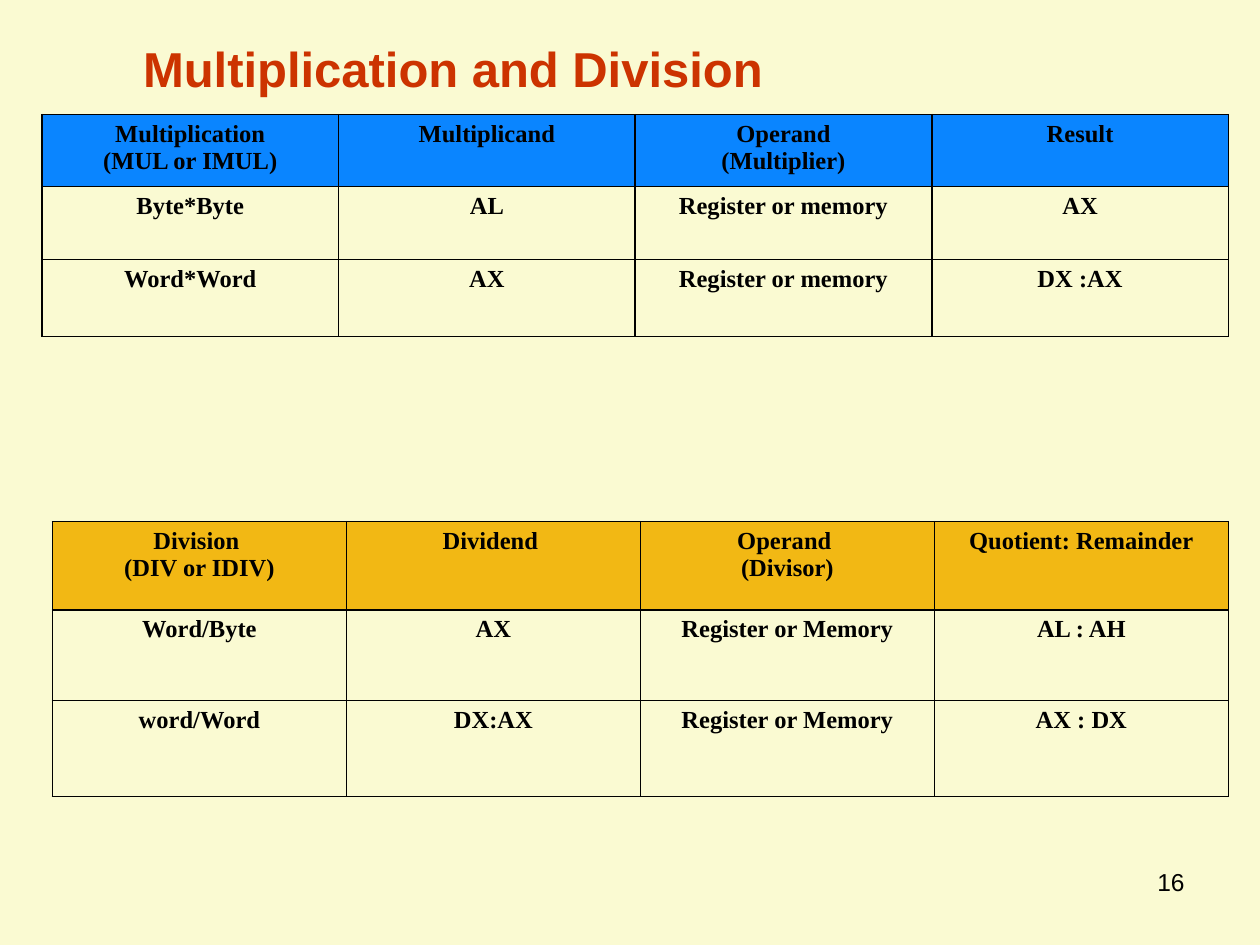
"""Build a slide with tables of multiplication and division operands."""
import dataclasses

import pptx
import pptx.dml.color
import pptx.enum.text
import pptx.oxml
import pptx.oxml.ns
import pptx.util

ALIGN = pptx.enum.text.PP_ALIGN
ANCHOR = pptx.enum.text.MSO_ANCHOR


@dataclasses.dataclass(frozen=True)
class Theme:
    background: str = "FAFAD2"
    ink: str = "000000"
    title: str = "CC3300"
    multiplication: str = "0A85FF"
    division: str = "F2B814"
    heading_font: str = "Arial"
    table_font: str = "Times New Roman"
    title_size: int = 28
    text_size: int = 14
    border_width: int = 1


class SlideBuilder:
    columns, rows = 120, 90

    def __init__(self, deck, theme):
        self.theme = theme
        self.cell_width = deck.slide_width / self.columns
        self.cell_height = deck.slide_height / self.rows
        self.page = deck.slides.add_slide(deck.slide_layouts[6])
        self.paint(self.page.background.fill, theme.background)

    def paint(self, fill, color):
        fill.solid()
        fill.fore_color.rgb = pptx.dml.color.RGBColor.from_string(color)

    def area(self, left, top, width, height):
        return (round(left * self.cell_width), round(top * self.cell_height),
                round(width * self.cell_width), round(height * self.cell_height))

    def set_text(self, frame, text, font, size, color, align, bold=False):
        frame.text = text
        for para in frame.paragraphs:
            para.alignment = align
            para.font.name = font
            para.font.size = pptx.util.Pt(size)
            para.font.bold = bold
            para.font.color.rgb = pptx.dml.color.RGBColor.from_string(color)

    def text(self, area, text, size, color, align, anchor, bold=False):
        box = self.page.shapes.add_textbox(*self.area(*area))
        box.text_frame.word_wrap = True
        box.text_frame.vertical_anchor = anchor
        self.set_text(box.text_frame, text, self.theme.heading_font, size, color, align, bold)

    def border(self, cell):
        properties = cell._tc.get_or_add_tcPr()
        width = pptx.util.Pt(self.theme.border_width)
        for side in ("lnL", "lnR", "lnT", "lnB"):
            properties.append(pptx.oxml.parse_xml(
                f'<a:{side} {pptx.oxml.ns.nsdecls("a")} w="{width}"><a:solidFill>'
                f'<a:srgbClr val="{self.theme.ink}"/></a:solidFill></a:{side}>'))

    def table(self, left, top, width, heights, header_color, content):
        area = self.area(left, top, width, sum(heights))
        table = self.page.shapes.add_table(len(content), len(content[0]), *area).table
        table.first_row = table.horz_banding = False
        for row, height, texts in zip(table.rows, heights, content):
            row.height = round(height * self.cell_height)
            for cell, text in zip(row.cells, texts):
                self.border(cell)
                if texts is content[0]:
                    self.paint(cell.fill, header_color)
                else:
                    cell.fill.background()
                self.set_text(cell.text_frame, text, self.theme.table_font,
                              self.theme.text_size, self.theme.ink, ALIGN.CENTER, True)


def main():
    theme = Theme()
    deck = pptx.Presentation()
    deck.slide_width = pptx.util.Inches(10)
    deck.slide_height = pptx.util.Inches(7.5)
    slide = SlideBuilder(deck, theme)
    slide.text((86, 82, 28, 6.24), "16", theme.text_size, theme.ink, ALIGN.RIGHT, ANCHOR.TOP)
    slide.table(4, 10.92, 113, (6.84, 6.96, 7.32), theme.multiplication, [
        ["Multiplication\n(MUL or IMUL)", "Multiplicand", "Operand\n(Multiplier)", "Result"],
        ["Byte*Byte", "AL", "Register or memory", "AX"],
        ["Word*Word", "AX", "Register or memory", "DX :AX"],
    ])
    slide.table(5, 49.68, 112, (8.4, 8.64, 9.12), theme.division, [
        ["Division \n(DIV or IDIV)", "Dividend ", "Operand \n(Divisor)", "Quotient: Remainder"],
        ["Word/Byte", "AX", "Register or Memory", "AL : AH"],
        ["word/Word", "DX:AX", "Register or Memory", "AX : DX"],
    ])
    slide.text((3, 3, 80.28, 6.84), "Multiplication and Division", theme.title_size,
               theme.title, ALIGN.CENTER, ANCHOR.BOTTOM, True)
    deck.save("out.pptx")


if __name__ == "__main__":
    main()
